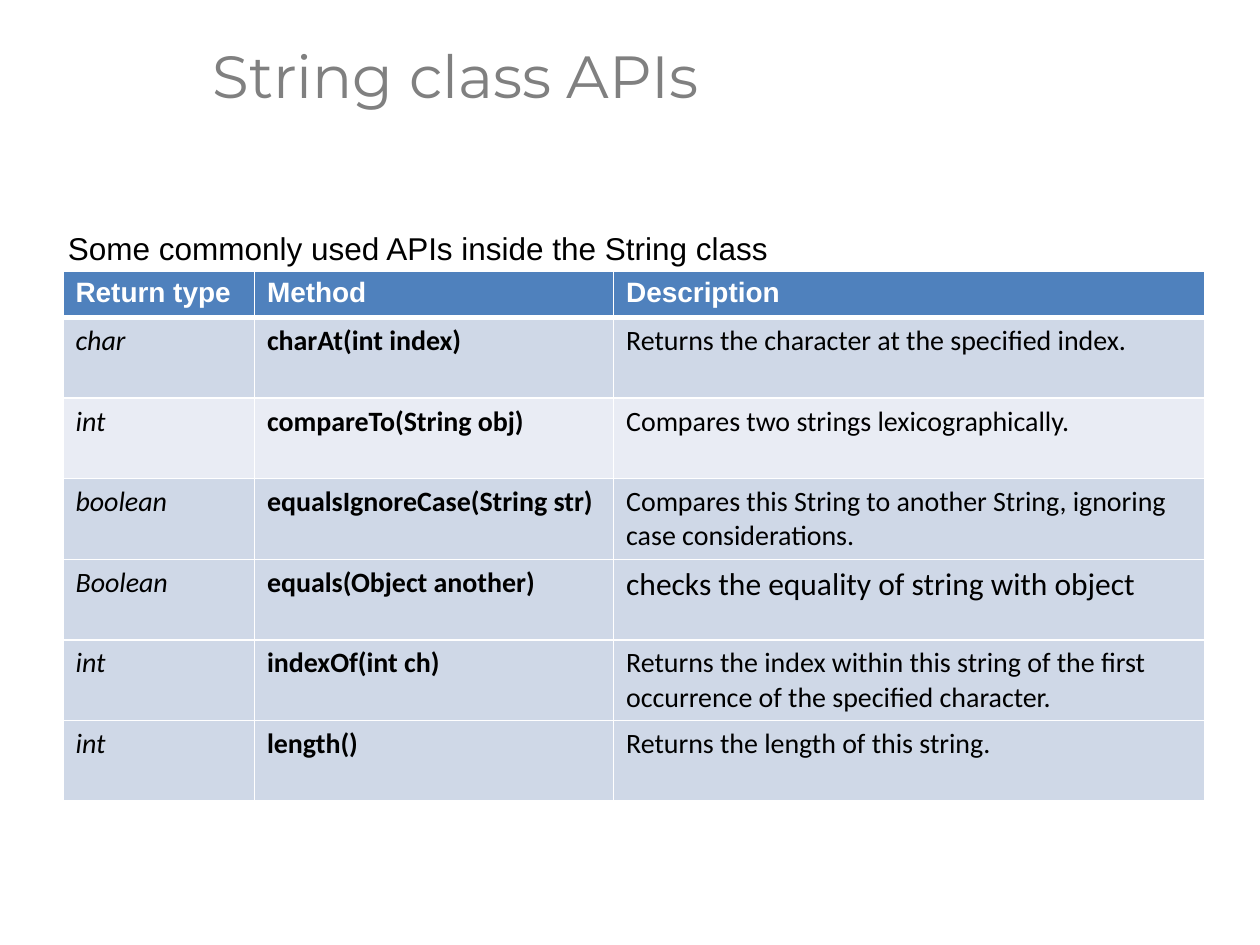
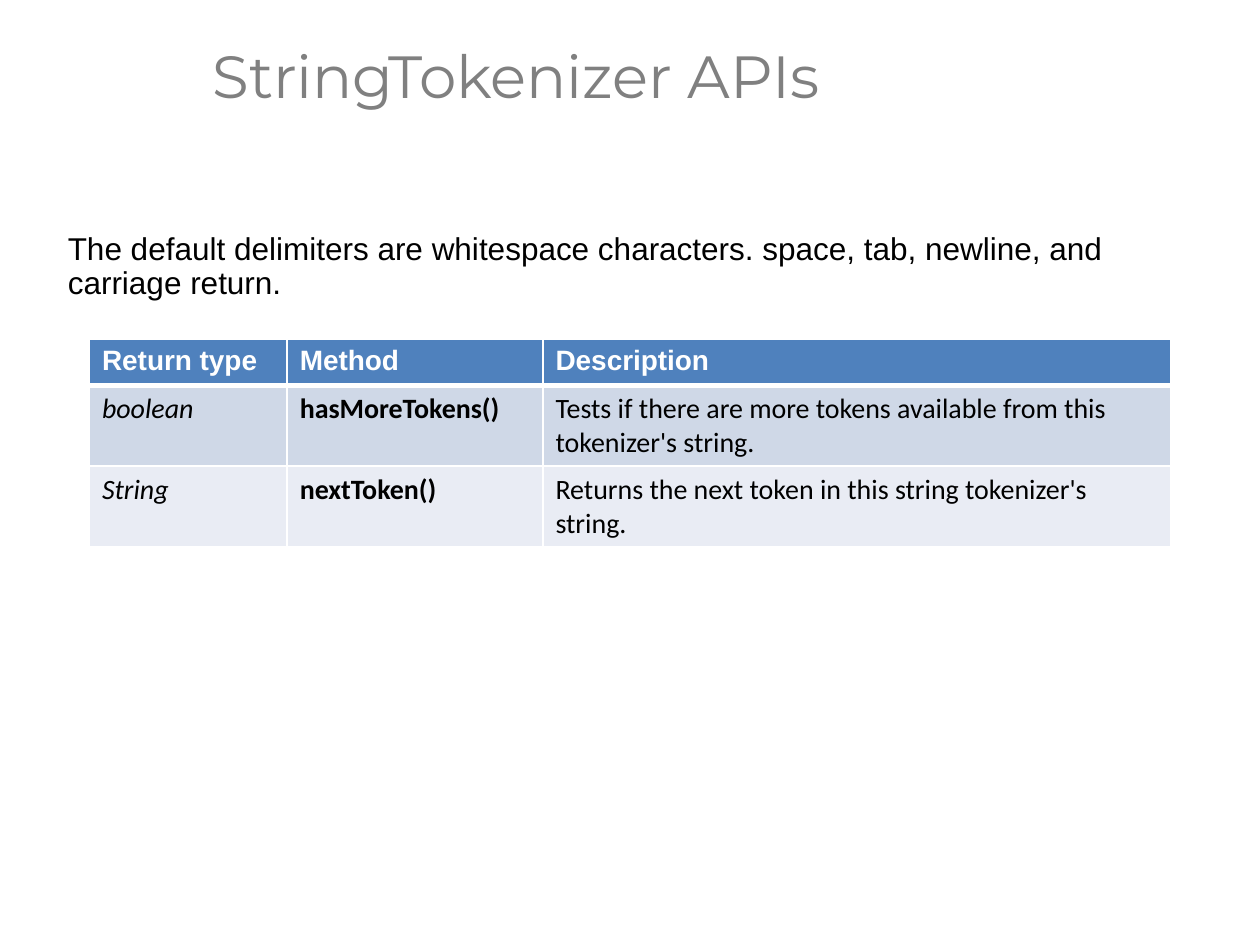
from lxml.etree import SubElement
from pptx import Presentation
from pptx.dml.color import RGBColor
from pptx.enum.text import MSO_ANCHOR
from pptx.oxml.ns import qn
from pptx.util import Inches, Pt

GREY = RGBColor(0x80, 0x80, 0x80)
BLACK = RGBColor(0x00, 0x00, 0x00)
WHITE = RGBColor(0xFF, 0xFF, 0xFF)
HEADER_BLUE = RGBColor(0x4F, 0x81, 0xBD)
BAND_DARK = RGBColor(0xCF, 0xD8, 0xE7)
BAND_LIGHT = RGBColor(0xE9, 0xEC, 0xF4)

# The slide is a grid of 100 columns by 75 rows; boxes are left, top, width, height.
SLIDE_WIDTH, SLIDE_HEIGHT = Inches(10), Inches(7.5)
COLUMN, ROW = SLIDE_WIDTH / 100, SLIDE_HEIGHT / 75
TITLE_BOX = (15.9, 0.1, 84.1, 12.4)
INTRO_BOX = (4.4, 18, 90.6, 48)
HEADER_ROWS, METHOD_ROWS = 3.7, 6.4
THIN, THICK = Pt(1), Pt(3)

HEADINGS = ("Return type", "Method", "Description")
STRING_METHODS = [
    ("char", "charAt(int\u00a0index)", "Returns the character at the specified index."),
    ("int", "compareTo(String obj)", "Compares two strings lexicographically."),
    ("boolean", "equalsIgnoreCase(String\u00a0str)",
     "Compares this String to another String, ignoring case considerations."),
    ("Boolean", "equals(Object another)", "checks the equality of string with object"),
    ("int", "indexOf(int\u00a0ch)",
     "Returns the index within this string of the first occurrence of the specified character."),
    ("int", "length()", "Returns the length of this string."),
]
TOKENIZER_METHODS = [
    ("boolean", "hasMoreTokens()",
     "Tests if there are more tokens available from this tokenizer's string."),
    ("String", "nextToken()", "Returns the next token in this string tokenizer's string."),
]


def on_grid(box):
    """Turn a box in grid columns and rows into slide lengths."""
    left, top, width, height = box
    return (round(left * COLUMN), round(top * ROW),
            round(width * COLUMN), round(height * ROW))


def style(paragraph, font_name, size, color, bold=False, italic=False):
    """Set the font of a whole paragraph."""
    font = paragraph.font
    font.name, font.size, font.bold, font.italic = font_name, Pt(size), bold, italic
    font.color.rgb = color


def add_text(slide, box, text, font_name, size, color, anchor, space_before=0):
    """Place one wrapped paragraph in the given box."""
    frame = slide.shapes.add_textbox(*on_grid(box)).text_frame
    frame.word_wrap = True
    frame.vertical_anchor = anchor
    paragraph = frame.paragraphs[0]
    paragraph.text = text
    paragraph.line_spacing = 0.9
    paragraph.space_before = Pt(space_before)
    style(paragraph, font_name, size, color)


def add_borders(cell, top, bottom):
    """Draw white cell borders with the given top and bottom widths."""
    properties = cell._tc.get_or_add_tcPr()
    for side, width in (("L", THIN), ("R", THIN), ("T", top), ("B", bottom)):
        line = SubElement(properties, qn(f"a:ln{side}"), w=str(width))
        fill = SubElement(line, qn("a:solidFill"))
        SubElement(fill, qn("a:srgbClr"), val=str(WHITE))


def fill_cell(cell, text, color, top=THIN, bottom=THIN):
    """Give a cell its borders, fill and text, and return its paragraph."""
    add_borders(cell, top, bottom)
    cell.fill.solid()
    cell.fill.fore_color.rgb = color
    paragraph = cell.text_frame.paragraphs[0]
    paragraph.text = text
    return paragraph


def add_method_table(slide, left, top, widths, methods, large_text):
    """Place a table of methods, with widths in grid columns."""
    height = HEADER_ROWS + METHOD_ROWS * len(methods)
    table = slide.shapes.add_table(
        len(methods) + 1, len(HEADINGS), *on_grid((left, top, sum(widths), height))).table
    table.horz_banding = False
    for column, width in zip(table.columns, widths):
        column.width = round(width * COLUMN)
    for index, row in enumerate(table.rows):
        row.height = round((METHOD_ROWS if index else HEADER_ROWS) * ROW)

    for column, heading in enumerate(HEADINGS):
        paragraph = fill_cell(table.cell(0, column), heading, HEADER_BLUE, bottom=THICK)
        style(paragraph, "Arial", 16, WHITE, bold=True)

    for row, method in enumerate(methods, start=1):
        band = BAND_LIGHT if row == 2 else BAND_DARK
        for column, text in enumerate(method):
            paragraph = fill_cell(table.cell(row, column), text, band,
                                  top=THICK if row == 1 else THIN)
            style(paragraph, "Calibri", 18 if text in large_text else 16, BLACK,
                  bold=column == 1, italic=column == 0)


def add_api_slide(deck, title, intro, left, top, widths, methods, large_text=()):
    """Add a slide with a title, an introduction and a method table."""
    slide = deck.slides.add_slide(deck.slide_layouts[6])
    add_text(slide, TITLE_BOX, title, "Montserrat", 34, GREY, MSO_ANCHOR.MIDDLE)
    add_text(slide, INTRO_BOX, intro, "Arial", 18, BLACK, MSO_ANCHOR.TOP, space_before=10)
    add_method_table(slide, left, top, widths, methods, large_text)


deck = Presentation()
deck.slide_width, deck.slide_height = SLIDE_WIDTH, SLIDE_HEIGHT
add_api_slide(deck, "String class APIs", "Some commonly used APIs inside the String class",
              5, 21.5, (15.2, 28.5, 46.9), STRING_METHODS,
              large_text=("checks the equality of string with object",))
add_api_slide(deck, "StringTokenizer APIs",
              "The default delimiters are whitespace characters. "
              "space, tab, newline, and carriage return.",
              7.1, 26.9, (15.7, 20.3, 49.8), TOKENIZER_METHODS)
deck.save("out.pptx")
